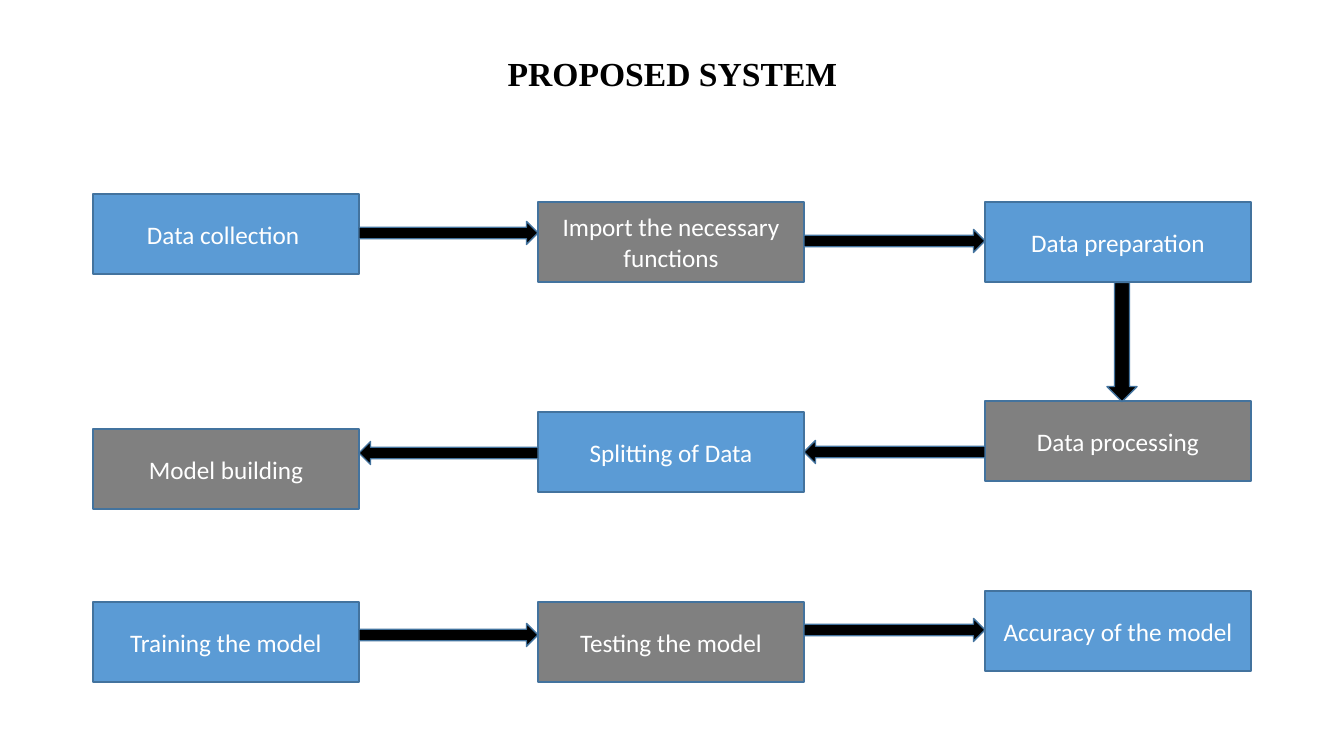
from pptx import Presentation
from pptx.dml.color import RGBColor
from pptx.enum.shapes import MSO_SHAPE as Shape
from pptx.enum.text import MSO_ANCHOR as Anchor, MSO_AUTO_SIZE as AutoSize, PP_ALIGN as Align
from pptx.util import Pt

SLIDE_WIDTH, SLIDE_HEIGHT = 1344, 756
EMU_PER_PX = 12192000 / SLIDE_WIDTH

BLUE, GRAY, BLACK, WHITE, OUTLINE = "5B9BD5", "808080", "000000", "FFFFFF", "43739E"
BOX_WIDTH, BOX_HEIGHT = 266, 80
COLUMNS = (93, 538, 985)

# Steps in flow order: text, column, top
STEPS = [
    ("Data collection ", 0, 194),
    ("Import the necessary functions", 1, 202),
    ("Data preparation", 2, 202),
    ("Data processing", 2, 401),
    ("Splitting of Data", 1, 412),
    ("Model building", 0, 429),
    ("Training the model", 0, 602),
    ("Testing the model", 1, 602),
    ("Accuracy of the model", 2, 591),
]
# Horizontal arrows: column on the left of the gap, centre height, rotation
ARROWS = [
    (0, 233, 0), (1, 241, 0),
    (0, 635, 0), (1, 630, 0),
    (0, 453, 180), (1, 452, 180),
]


def px(*lengths):
    return [round(length * EMU_PER_PX) for length in lengths]


def color(value):
    return RGBColor.from_string(value)


def write(frame, text, size=18, font="Calibri", ink=WHITE, bold=False, spacing=None):
    frame.word_wrap = True
    frame.vertical_anchor = Anchor.MIDDLE
    paragraph = frame.paragraphs[0]
    paragraph.alignment = Align.CENTER
    paragraph.line_spacing = spacing
    run = paragraph.add_run()
    run.text = text
    run.font.size = Pt(size)
    run.font.name = font
    run.font.bold = bold
    run.font.color.rgb = color(ink)
    return paragraph


class FlowSlide:
    def __init__(self, presentation):
        self.slide = presentation.slides.add_slide(presentation.slide_layouts[5])

    def title(self, text, left, top, width, height):
        title = self.slide.shapes.title
        title.left, title.top, title.width, title.height = px(left, top, width, height)
        title.text_frame.auto_size = AutoSize.NONE
        paragraph = write(title.text_frame, text, size=24, font="Times New Roman",
                          ink=BLACK, bold=True, spacing=0.9)
        paragraph.add_line_break()

    def shape(self, kind, left, top, width, height, fill):
        shape = self.slide.shapes.add_shape(kind, *px(left, top, width, height))
        shape.shadow.inherit = False
        shape.fill.solid()
        shape.fill.fore_color.rgb = color(fill)
        shape.line.color.rgb = color(OUTLINE)
        shape.line.width = Pt(1)
        return shape

    def box(self, text, left, top, fill):
        shape = self.shape(Shape.RECTANGLE, left, top, BOX_WIDTH, BOX_HEIGHT, fill)
        write(shape.text_frame, text)

    def arrow(self, center_x, center_y, length, thickness, rotation):
        shape = self.shape(Shape.RIGHT_ARROW, center_x - length / 2,
                           center_y - thickness / 2, length, thickness, BLACK)
        shape.rotation = rotation


def main():
    presentation = Presentation()
    presentation.slide_width, presentation.slide_height = px(SLIDE_WIDTH, SLIDE_HEIGHT)
    flow = FlowSlide(presentation)

    flow.title("PROPOSED SYSTEM", 93, 40, 1159, 146)

    # Boxes alternate in colour along the flow
    for index, (text, column, top) in enumerate(STEPS):
        flow.box(text, COLUMNS[column], top, GRAY if index % 2 else BLUE)

    # Arrows fill the gaps between columns
    for column, center_y, rotation in ARROWS:
        start, end = COLUMNS[column] + BOX_WIDTH, COLUMNS[column + 1]
        flow.arrow((start + end) / 2, center_y, end - start, 23, rotation)

    # Turn down to the second row
    flow.arrow(1122, 342, 119, 30, 90)

    presentation.save("out.pptx")


if __name__ == "__main__":
    main()
